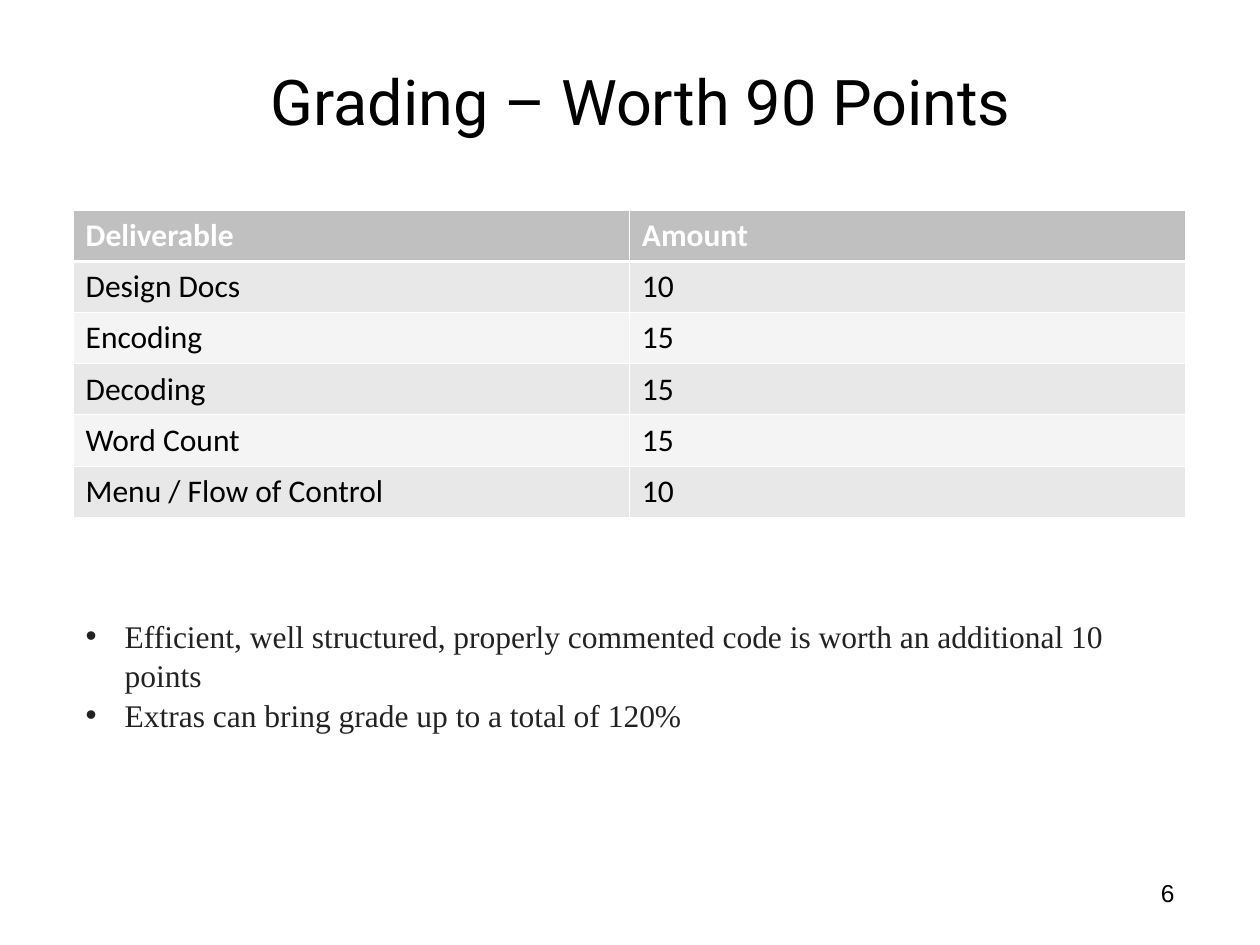
from lxml.etree import SubElement
from pptx import Presentation
from pptx.dml.color import RGBColor
from pptx.enum.text import MSO_ANCHOR, MSO_AUTO_SIZE, PP_ALIGN
from pptx.oxml.ns import qn
from pptx.util import Inches, Pt

COLORS = {
    "text": "000000",
    "note": "222222",
    "header_text": "FFFFFF",
    "border": "FFFFFF",
    "header": "C0C0C0",
    "odd_row": "E8E8E8",
    "even_row": "F4F4F4",
}
GRADES = [
    ("Deliverable", "Amount"),
    ("Design Docs", "10"),
    ("Encoding", "15"),
    ("Decoding", "15"),
    ("Word Count", "15"),
    ("Menu / Flow of Control", "10"),
]
NOTES = [
    "Efficient, well structured, properly commented code is worth an additional 10 points",
    "Extras can bring grade up to a total of 120%",
]
THIN, THICK = 0.45, 1.47


def rgb(name):
    return RGBColor.from_string(COLORS[name])


def set_font(paragraph, name, size, color, bold=False):
    font = paragraph.font
    font.name, font.size, font.bold = name, Pt(size), bold
    font.color.rgb = rgb(color)


def place(shape, box):
    shape.left, shape.top, shape.width, shape.height = map(Inches, box)


def set_borders(cell, top, bottom):
    """Draw the four cell edges; lines must come before the fill."""
    properties = cell._tc.get_or_add_tcPr()
    for side, width in (("L", THIN), ("R", THIN), ("T", top), ("B", bottom)):
        line = SubElement(properties, qn(f"a:ln{side}"), w=str(Pt(width)))
        fill = SubElement(line, qn("a:solidFill"))
        SubElement(fill, qn("a:srgbClr"), val=COLORS["border"])


def add_title(slide, box, text):
    title = slide.shapes.title
    place(title, box)
    frame = title.text_frame
    frame.text = text
    frame.auto_size = MSO_AUTO_SIZE.NONE
    frame.vertical_anchor = MSO_ANCHOR.MIDDLE
    frame.margin_left = frame.margin_right = frame.margin_top = frame.margin_bottom = 0
    paragraph = frame.paragraphs[0]
    paragraph.alignment = PP_ALIGN.CENTER
    set_font(paragraph, "Roboto", 36, "text")


def add_grades(slide, box, rows):
    shape = slide.shapes.add_table(len(rows), len(rows[0]), *map(Inches, box))
    for row_index, values in enumerate(rows):
        is_header = row_index == 0
        fill = "header" if is_header else "odd_row" if row_index % 2 else "even_row"
        for column_index, value in enumerate(values):
            cell = shape.table.cell(row_index, column_index)
            cell.text = value
            set_borders(cell, THICK if row_index == 1 else THIN, THICK if is_header else THIN)
            cell.fill.solid()
            cell.fill.fore_color.rgb = rgb(fill)
            set_font(cell.text_frame.paragraphs[0], "Calibri", 18,
                     "header_text" if is_header else "text", is_header)


def add_notes(slide, box, notes):
    body = slide.placeholders[1]
    place(body, box)
    frame = body.text_frame
    frame.text = "\n".join(notes)
    frame.auto_size = MSO_AUTO_SIZE.NONE
    for paragraph in frame.paragraphs:
        paragraph.space_before = Pt(0)
        paragraph.line_spacing = 1.05
        properties = paragraph._p.get_or_add_pPr()
        properties.set("marL", str(Inches(0.31)))
        properties.set("indent", str(-Inches(0.31)))
        bullet_color = SubElement(properties, qn("a:buClr"))
        SubElement(bullet_color, qn("a:srgbClr"), val=COLORS["note"])
        SubElement(properties, qn("a:buFont"), typeface="Arial")
        SubElement(properties, qn("a:buChar"), char="•")
        set_font(paragraph, "Times New Roman", 18, "note")


def add_page_number(slide, box, number):
    frame = slide.shapes.add_textbox(*map(Inches, box)).text_frame
    frame.word_wrap = True
    frame.text = number
    paragraph = frame.paragraphs[0]
    paragraph.alignment = PP_ALIGN.RIGHT
    set_font(paragraph, "Arial", 14, "text")


def main():
    presentation = Presentation()
    presentation.slide_width, presentation.slide_height = Inches(10), Inches(7.5)
    slide = presentation.slides.add_slide(presentation.slide_layouts[1])
    add_grades(slide, (0.58, 1.67, 8.83, 2.43), GRADES)
    add_title(slide, (0.73, 0.23, 8.71, 1.13), "Grading – Worth 90 Points")
    add_page_number(slide, (7.17, 6.92, 2.25, 0.42), "6")
    add_notes(slide, (0.58, 4.83, 8.58, 1), NOTES)
    presentation.save("out.pptx")


if __name__ == "__main__":
    main()
